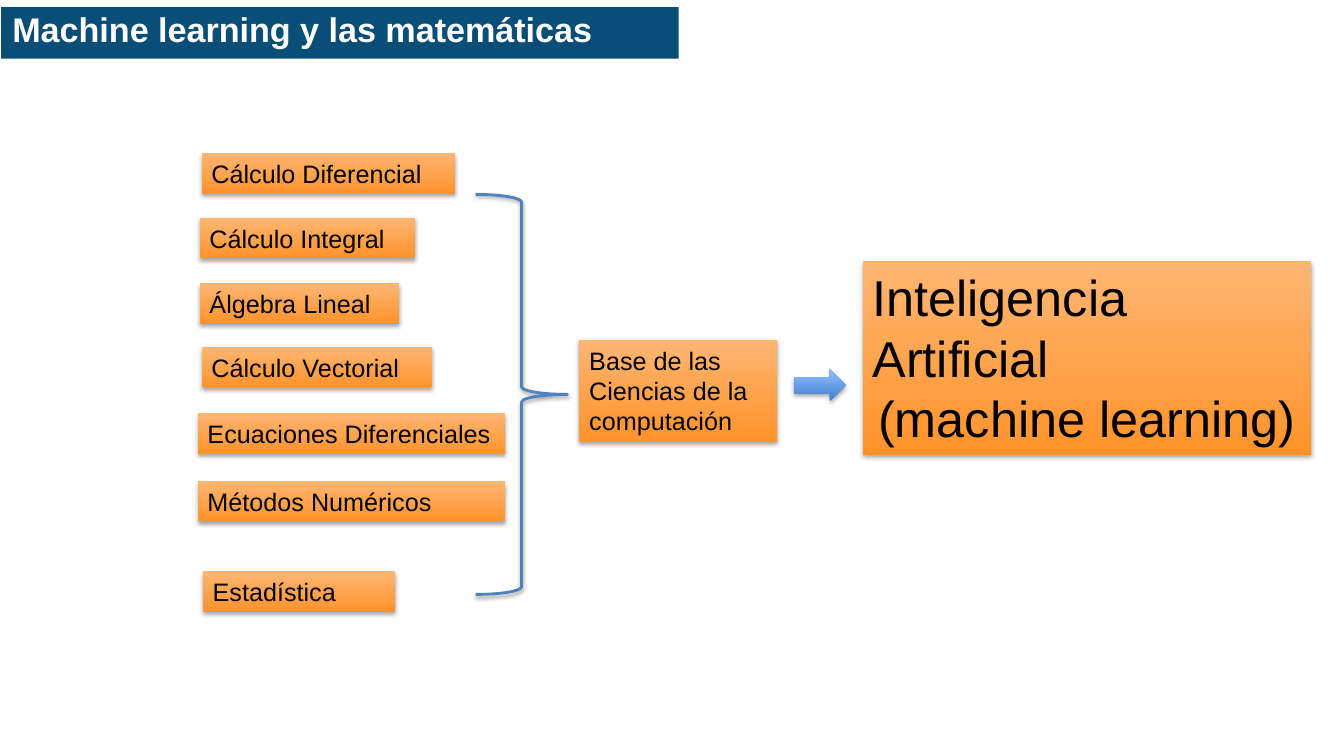
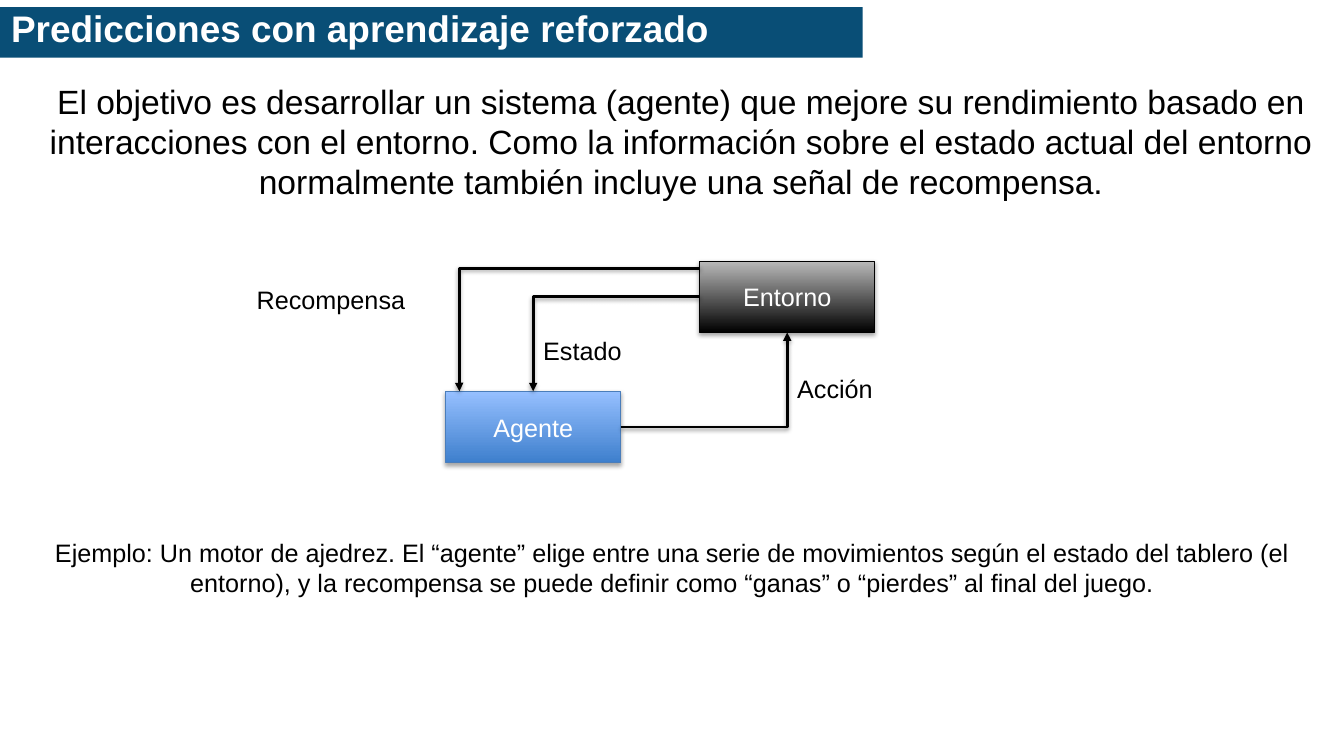
from dataclasses import dataclass

import pptx
import pptx.dml.color
import pptx.enum.dml
import pptx.enum.shapes
import pptx.enum.text
import pptx.oxml
import pptx.oxml.ns
import pptx.util

Cm = pptx.util.Cm
Pt = pptx.util.Pt
Align = pptx.enum.text.PP_ALIGN
Anchor = pptx.enum.text.MSO_ANCHOR
Form = pptx.enum.shapes.MSO_SHAPE
Link = pptx.enum.shapes.MSO_CONNECTOR

FONT = "Arial"
BLACK, WHITE, NAVY, STEEL = "000000", "FFFFFF", "094E76", "4F81BD"
AMBER = ("FF932B", "FFB673")
BLUE = ("3E7FCD", "96C0FF")
GREY = ("000000", "BABABA")
ROW = 1.02
FRAME = {
    "margin_left": Cm(0.25), "margin_right": Cm(0.25),
    "margin_top": Cm(0.13), "margin_bottom": Cm(0.13),
    "word_wrap": True, "vertical_anchor": Anchor.TOP,
    "auto_size": pptx.enum.text.MSO_AUTO_SIZE.NONE,
}
BAND = FRAME | {
    "margin_left": Cm(0.28), "margin_right": Cm(0.28),
    "margin_top": Cm(0.15), "margin_bottom": Cm(0.15),
    "vertical_anchor": Anchor.MIDDLE,
}


@dataclass
class Area:
    left: float
    top: float
    width: float
    height: float = ROW

    def cm(self) -> list:
        return [Cm(v) for v in (self.left, self.top, self.width, self.height)]


@dataclass
class Line:
    text: str
    align: Align = Align.LEFT


@dataclass
class Note:
    area: Area
    lines: list[Line]
    size: float = 18


@dataclass
class Node:
    area: Area
    text: str
    tones: tuple[str, str]
    edge: str


def rgb(code: str) -> pptx.dml.color.RGBColor:
    return pptx.dml.color.RGBColor.from_string(code)


def apply(item, values: dict) -> None:
    for name, value in values.items():
        setattr(item, name, value)


def shade(item, alpha: int = 35, dist: int = 23000) -> None:
    props = item._element.spPr
    for old in props.findall(pptx.oxml.ns.qn("a:effectLst")):
        props.remove(old)
    props.append(pptx.oxml.parse_xml(
        f'<a:effectLst {pptx.oxml.ns.nsdecls("a")}>'
        f'<a:outerShdw blurRad="40000" dist="{dist}" dir="5400000" rotWithShape="0">'
        f'<a:srgbClr val="{BLACK}"><a:alpha val="{alpha}000"/></a:srgbClr>'
        '</a:outerShdw></a:effectLst>'))


def blend(shape, tones: tuple[str, str]) -> None:
    shape.fill.gradient()
    shape.fill.gradient_angle = 90
    for stop, tone in zip(shape.fill.gradient_stops, tones):
        stop.color.rgb = rgb(tone)


def stroke(item, code: str, width: float) -> None:
    item.line.color.rgb = rgb(code)
    item.line.width = Pt(width)


def write(shape, lines: list[Line], size: float, code: str = BLACK,
          frame: dict = FRAME, bold: bool = False, pitch: float = 1.0) -> None:
    apply(shape.text_frame, frame)
    for index, line in enumerate(lines):
        para = (shape.text_frame.add_paragraph() if index
                else shape.text_frame.paragraphs[0])
        apply(para, {"alignment": line.align, "line_spacing": pitch,
                     "space_before": Pt(0)})
        run = para.add_run()
        run.text = line.text
        apply(run.font, {"name": FONT, "size": Pt(size), "bold": bold})
        run.font.color.rgb = rgb(code)


def start(deck, text: str, area: Area, size: float):
    slide = deck.slides.add_slide(deck.slide_layouts[5])
    title = slide.shapes.title
    apply(title, dict(zip(("left", "top", "width", "height"), area.cm())))
    title.fill.solid()
    title.fill.fore_color.rgb = rgb(NAVY)
    write(title, [Line(text)], size, WHITE, BAND, True, 0.8)
    return slide


def block(slide, form: Form, area: Area, tones: tuple[str, str]):
    shape = slide.shapes.add_shape(form, *area.cm())
    blend(shape, tones)
    shape.line.fill.background()
    shade(shape)
    return shape


def card(slide, note: Note) -> None:
    shape = block(slide, Form.RECTANGLE, note.area, AMBER)
    write(shape, note.lines, note.size)


def label(slide, note: Note) -> None:
    write(slide.shapes.add_textbox(*note.area.cm()), note.lines, note.size)


def node(slide, data: Node):
    shape = block(slide, Form.RECTANGLE, data.area, data.tones)
    stroke(shape, data.edge, 0.75)
    write(shape, [Line(data.text, Align.CENTER)], 18, WHITE,
          FRAME | {"vertical_anchor": Anchor.MIDDLE})
    return shape


def arrow(slide, ends: tuple[float, float, float, float]):
    wire = slide.shapes.add_connector(Link.ELBOW, *[Cm(v) for v in ends])
    stroke(wire, BLACK, 2)
    wire.line._get_or_add_ln().append(pptx.oxml.parse_xml(
        f'<a:tailEnd {pptx.oxml.ns.nsdecls("a")} type="triangle"/>'))
    shade(wire, 38, 20000)
    return wire


def join(slide, first, out: int, last, into: int) -> None:
    wire = arrow(slide, (0, 0, 1, 1))
    wire.begin_connect(first, out)
    wire.end_connect(last, into)
    wire._element.spPr.prstGeom.set("prst", "bentConnector2")


def maths(deck) -> None:
    slide = start(deck, "Machine learning y las matemáticas",
                  Area(0.03, 0.18, 17.07, 1.3), 24.4)
    topics = [
        ("Cálculo Diferencial", 5.08, 3.86, 6.4),
        ("Cálculo Integral", 5.03, 5.49, 5.44),
        ("Álgebra Lineal", 5.03, 7.14, 5.03),
        ("Cálculo Vectorial", 5.08, 8.74, 5.82),
        ("Ecuaciones Diferenciales", 4.98, 10.41, 7.75),
        ("Métodos Numéricos", 4.98, 12.12, 7.75),
        ("Estadística", 5.11, 14.4, 4.85),
    ]
    for text, *place in topics:
        card(slide, Note(Area(*place), [Line(text)]))
    brace = slide.shapes.add_shape(
        Form.RIGHT_BRACE, *Area(11.99, 4.9, 2.31, 10.08).cm())
    brace.fill.background()
    stroke(brace, STEEL, 2)
    shade(brace, 38, 20000)
    card(slide, Note(Area(14.6, 8.56, 4.98, 2.57),
                     [Line("Base de las Ciencias de la computación")]))
    card(slide, Note(Area(21.74, 6.58, 11.3, 4.88),
                     [Line("Inteligencia Artificial"),
                      Line("(machine learning)", Align.CENTER)], 36))
    block(slide, Form.RIGHT_ARROW, Area(20.02, 9.3, 1.3, 0.81), BLUE)


def reward(deck) -> None:
    slide = start(deck, "Predicciones con aprendizaje reforzado",
                  Area(0, 0.18, 21.74, 1.27), 26.4)
    notes = [
        Note(Area(0.46, 1.9, 33.4, 3.33), [Line(
            "El objetivo es desarrollar un sistema (agente) que mejore su "
            "rendimiento basado en interacciones con el entorno. Como la "
            "información sobre el estado actual del entorno normalmente "
            "también incluye una señal de recompensa.", Align.CENTER)], 24),
        Note(Area(0, 13.41, 33.87, 1.8), [Line(
            "Ejemplo: Un motor de ajedrez. El “agente” elige entre una serie "
            "de movimientos según el estado del tablero (el entorno), y la "
            "recompensa se puede definir como “ganas” o “pierdes” al final "
            "del juego.", Align.CENTER)]),
        Note(Area(6.22, 7.04, 4.65), [Line("Recompensa")]),
        Note(Area(13.44, 8.31, 2.92), [Line("Estado")]),
        Note(Area(19.84, 9.27, 3.15), [Line("Acción")]),
    ]
    world = node(slide, Node(Area(17.63, 6.58, 4.42, 1.8), "Entorno", GREY, BLACK))
    agent = node(slide, Node(Area(11.23, 9.86, 4.42, 1.8), "Agente", BLUE, "4A7DBA"))
    join(slide, agent, 3, world, 2)
    join(slide, world, 1, agent, 0)
    prize = arrow(slide, (17.63, 6.76, 11.58, 9.86))
    guides = prize._element.spPr.prstGeom.get_or_add_avLst()
    guides.append(pptx.oxml.parse_xml(
        f'<a:gd {pptx.oxml.ns.nsdecls("a")} name="adj1" fmla="val 100100"/>'))
    for note in notes:
        label(slide, note)


def main() -> None:
    deck = pptx.Presentation()
    apply(deck, {"slide_width": Cm(33.87), "slide_height": Cm(19.05)})
    maths(deck)
    reward(deck)
    deck.save("out.pptx")


if __name__ == "__main__":
    main()
